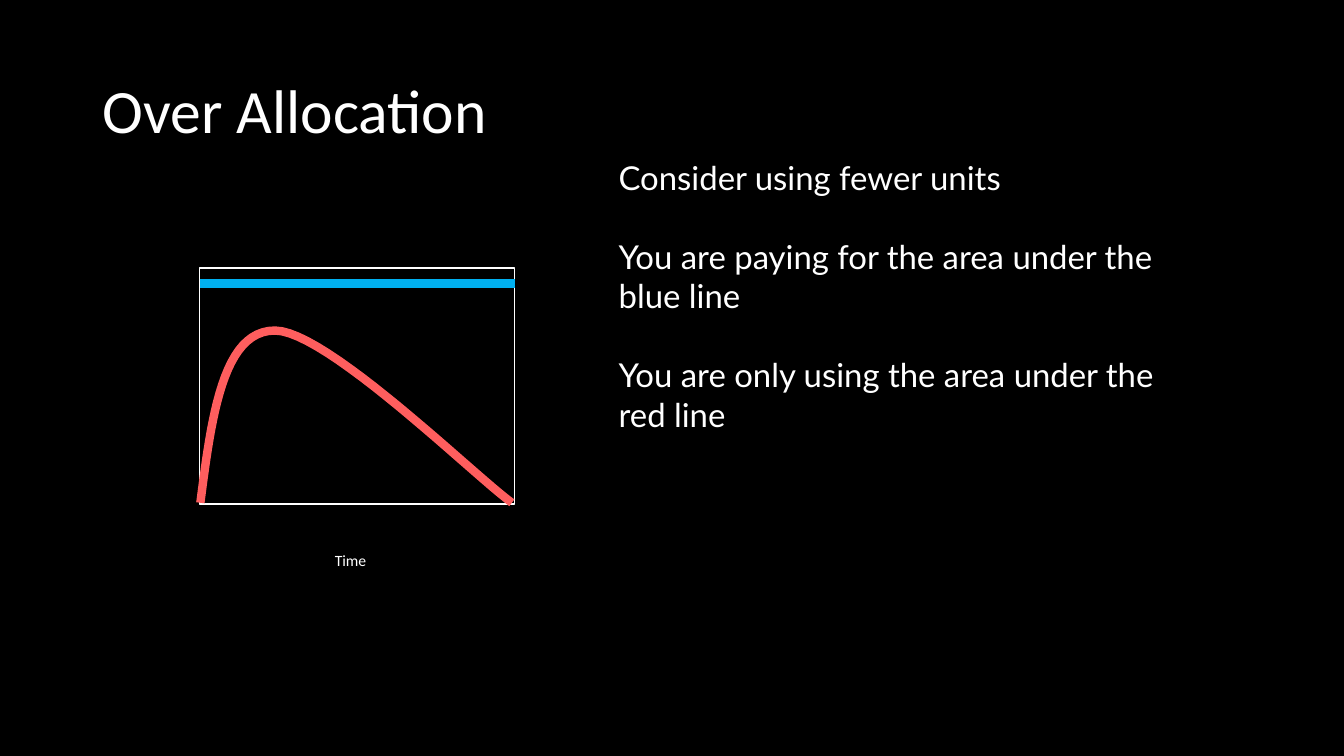
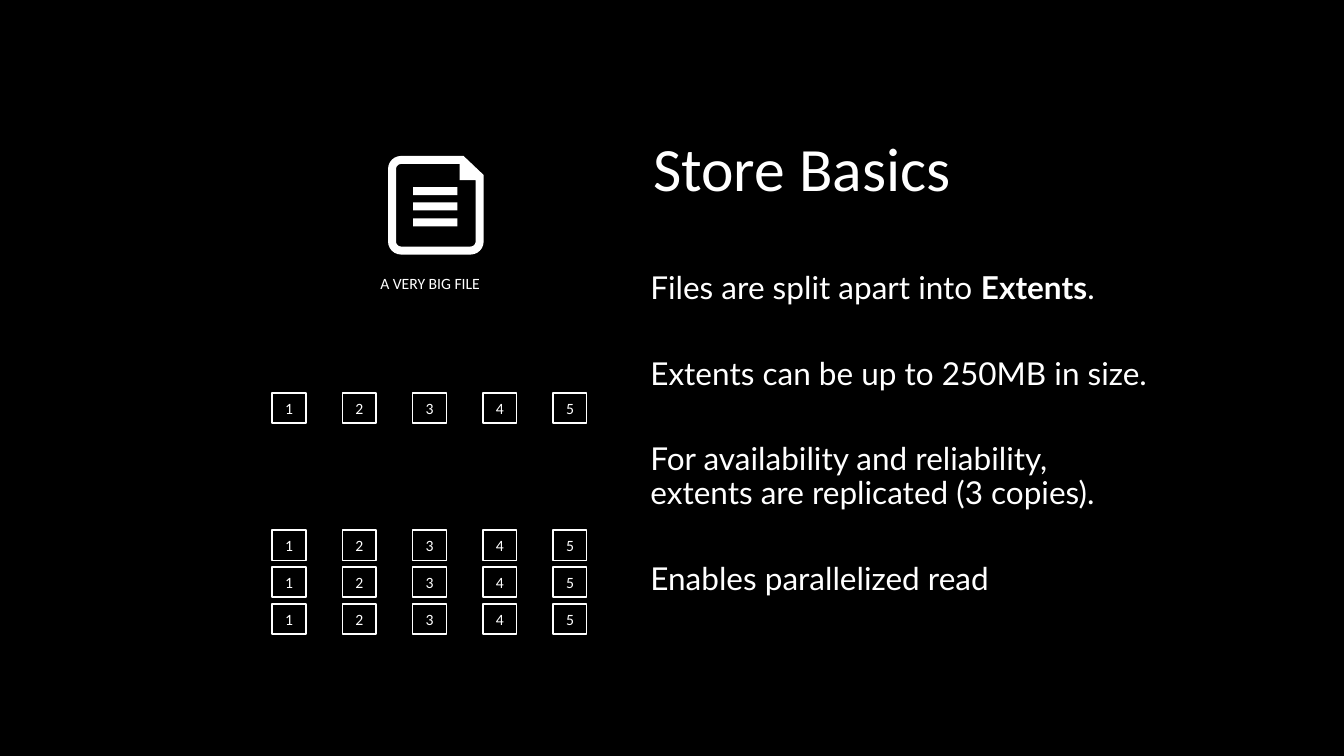
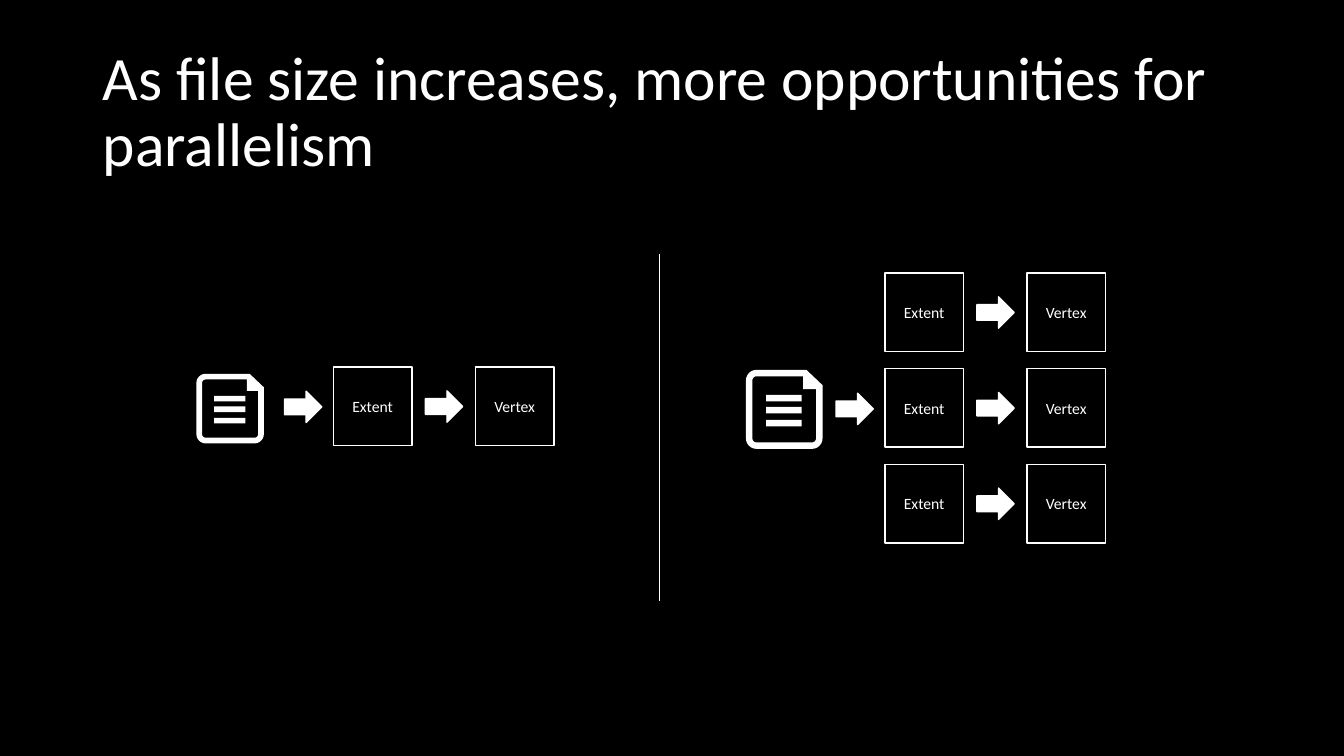
from dataclasses import dataclass
from math import cos, radians, sin

from lxml.etree import SubElement
from pptx import Presentation
from pptx.dml.color import RGBColor
from pptx.enum.shapes import MSO_CONNECTOR, MSO_SHAPE
from pptx.enum.text import MSO_ANCHOR, PP_ALIGN
from pptx.oxml.ns import qn
from pptx.shapes.autoshape import Shape
from pptx.slide import Slide
from pptx.text.text import TextFrame
from pptx.util import Cm, Pt

BLACK = RGBColor(0x00, 0x00, 0x00)
WHITE = RGBColor(0xFF, 0xFF, 0xFF)
BLUE = RGBColor(0x00, 0xB0, 0xF0)
RED = RGBColor(0xFE, 0x5E, 0x5E)

Point = tuple[float, float]


@dataclass(frozen=True)
class Area:
    left: float
    top: float
    width: float
    height: float

    def lengths(self) -> tuple[Cm, Cm, Cm, Cm]:
        return Cm(self.left), Cm(self.top), Cm(self.width), Cm(self.height)


@dataclass(frozen=True)
class Span:
    text: str
    bold: bool = False


@dataclass(frozen=True)
class TextStyle:
    font: str
    size: float
    align: PP_ALIGN = PP_ALIGN.LEFT
    anchor: MSO_ANCHOR = MSO_ANCHOR.MIDDLE
    line_spacing: float = 1.0
    gap: float = 0


TITLE = TextStyle("Calibri", 44, line_spacing=0.9)
LABEL = TextStyle("Calibri", 11.2, align=PP_ALIGN.CENTER)
ADVICE = TextStyle("Lato", 23.5, anchor=MSO_ANCHOR.TOP, gap=28.2)
FACTS = TextStyle("Lato", 22.5, anchor=MSO_ANCHOR.TOP, line_spacing=0.9, gap=36.8)

TITLE_AREA = Area(2.34, 1.02, 29.21, 3.68)

ICON_WIDTH = 95
ICON_BAR_TOPS = (31, 46, 62)

TILE_COUNT = 5
TILE_LEFT, TILE_PITCH = 6.86, 1.77
TILE_WIDTH, TILE_HEIGHT = 0.85, 0.76
REPLICA_TOP, REPLICA_PITCH = 13.36, 0.93
TILE_TOPS = (9.9, *(REPLICA_TOP + REPLICA_PITCH * row for row in range(3)))

STAGE_SIZE = 1.98
STAGE_PITCH = 3.58
PIPELINE_PITCH = 2.41


def write_text(frame: TextFrame, paragraphs: list[list[Span]], style: TextStyle) -> None:
    frame.word_wrap = True
    frame.vertical_anchor = style.anchor
    for index, spans in enumerate(paragraphs):
        para = frame.add_paragraph() if index else frame.paragraphs[0]
        para.alignment = style.align
        para.line_spacing = style.line_spacing
        para.space_after = Pt(style.gap)
        for span in spans:
            run = para.add_run()
            run.text = span.text
            run.font.name = style.font
            run.font.size = Pt(style.size)
            run.font.bold = span.bold
            run.font.color.rgb = WHITE


def add_text(page: Slide, area: Area, paragraphs: list[list[Span]], style: TextStyle) -> None:
    box = page.shapes.add_textbox(*area.lengths())
    write_text(box.text_frame, paragraphs, style)


def add_title(page: Slide, text: str, area: Area = TITLE_AREA) -> None:
    add_text(page, area, [[Span(text)]], TITLE)


def paint_white(shape: Shape) -> None:
    shape.shadow.inherit = False
    shape.fill.solid()
    shape.fill.fore_color.rgb = WHITE
    shape.line.fill.background()


def add_frame(page: Slide, area: Area, label: str = "") -> Shape:
    box = page.shapes.add_shape(MSO_SHAPE.RECTANGLE, *area.lengths())
    box.shadow.inherit = False
    box.fill.solid()
    box.fill.fore_color.rgb = BLACK
    box.line.color.rgb = WHITE
    box.line.width = Pt(1)
    if label:
        write_text(box.text_frame, [[Span(label)]], LABEL)
    return box


def add_line(page: Slide, start: Point, end: Point, color: RGBColor, width: float) -> None:
    ends = (Cm(value) for value in (*start, *end))
    line = page.shapes.add_connector(MSO_CONNECTOR.STRAIGHT, *ends)
    line.line.color.rgb = color
    line.line.width = Pt(width)
    SubElement(line._element.spPr, qn("a:effectLst"))


def add_arrow(page: Slide, left: float, top: float) -> None:
    arrow = page.shapes.add_shape(MSO_SHAPE.RIGHT_ARROW, *Area(left, top, 0.94, 0.79).lengths())
    paint_white(arrow)
    arrow.line.color.rgb = WHITE
    arrow.line.width = Pt(1)


def bezier(start: Point, first: Point, second: Point, end: Point, steps: int = 24) -> list[Point]:
    points = []
    for step in range(steps + 1):
        t = step / steps
        weights = ((1 - t) ** 3, 3 * t * (1 - t) ** 2, 3 * t * t * (1 - t), t**3)
        nodes = list(zip(weights, (start, first, second, end)))
        points.append((sum(w * p[0] for w, p in nodes), sum(w * p[1] for w, p in nodes)))
    return points


def corner(x: float, y: float, radius: float, angle: int) -> list[Point]:
    turns = [radians(angle - 15 * step) for step in range(7)]
    return [(x + radius * cos(turn), y + radius * sin(turn)) for turn in turns]


def add_file_icon(page: Slide, left: float, top: float, width: float) -> None:
    unit = width / ICON_WIDTH
    outer = [(75, 0), *corner(13, 13, 13, 270), *corner(13, 85, 13, 180),
             *corner(82, 85, 13, 90), (95, 19)]
    inner = [(71, 8), *corner(13, 13, 5, 270), *corner(13, 85, 5, 180),
             *corner(82, 85, 5, 90), (87, 24), (71, 24)]
    group = page.shapes.add_group_shape()
    for bar_top in ICON_BAR_TOPS:
        area = Area(left + 25 * unit, top + bar_top * unit, 44 * unit, 8 * unit)
        paint_white(group.shapes.add_shape(MSO_SHAPE.RECTANGLE, *area.lengths()))
    contours = [[(Cm(left + x * unit), Cm(top + y * unit)) for x, y in contour]
                for contour in (outer, inner)]
    builder = group.shapes.build_freeform(*contours[0][0])
    builder.add_line_segments(contours[0][1:], close=True)
    builder.move_to(*contours[1][0])
    builder.add_line_segments(contours[1][1:], close=True)
    paint_white(builder.convert_to_shape())


def add_pipeline(page: Slide, left: float, top: float) -> None:
    for index, label in enumerate(("Extent", "Vertex")):
        add_frame(page, Area(left + index * STAGE_PITCH, top, STAGE_SIZE, STAGE_SIZE), label)
    add_arrow(page, left + 2.32, top + 0.6)


def add_feed_arrow(page: Slide, left: float, top: float) -> None:
    add_arrow(page, left - 1.23, top + 0.61)


def build_over_allocation(page: Slide) -> None:
    add_title(page, "Over Allocation")
    add_text(page, Area(15.34, 3.84, 14.58, 7.47), [
        [Span("Consider using fewer units")],
        [Span("You are paying for the area under the blue line")],
        [Span("You are only using the area under the red line")],
    ], ADVICE)
    add_text(page, Area(5.05, 13.49, 7.57, 1.27), [[Span("Time")]], LABEL)
    add_frame(page, Area(5.03, 6.75, 7.94, 5.95))
    add_line(page, (5.03, 7.14), (12.97, 7.14), BLUE, 6)
    peak = (6.93, 8.33)
    usage = [*bezier((5.05, 12.67), (5.33, 10.52), (5.61, 8.33), peak),
             *bezier(peak, (8.23, 8.33), (11.96, 11.99), (12.9, 12.67))[1:]]
    points = [(Cm(x), Cm(y)) for x, y in usage]
    builder = page.shapes.build_freeform(*points[0])
    builder.add_line_segments(points[1:], close=False)
    curve = builder.convert_to_shape()
    curve.shadow.inherit = False
    curve.fill.background()
    curve.line.color.rgb = RED
    curve.line.width = Pt(6)


def build_store_basics(page: Slide) -> None:
    add_title(page, "Store Basics", Area(16.21, 2.77, 13.89, 3.1))
    add_file_icon(page, 9.78, 3.93, 2.41)
    add_text(page, Area(6.32, 6.76, 9.04, 0.76), [[Span("A VERY BIG FILE")]], LABEL)
    for top in TILE_TOPS:
        for column in range(TILE_COUNT):
            area = Area(TILE_LEFT + column * TILE_PITCH, top, TILE_WIDTH, TILE_HEIGHT)
            tile = add_frame(page, area, str(column + 1))
            tile.text_frame.margin_left = tile.text_frame.margin_right = Cm(0)
    add_text(page, Area(16.14, 6.74, 13.11, 9.52), [
        [Span("Files are split apart into "), Span("Extents", bold=True), Span(".")],
        [Span("Extents can be up to 250MB in size.")],
        [Span("For availability and reliability, extents are replicated (3 copies).")],
        [Span("Enables parallelized read")],
    ], FACTS)


def build_parallelism(page: Slide) -> None:
    add_title(page, "As file size increases, more opportunities for parallelism")
    add_file_icon(page, 4.95, 9.42, 1.7)
    add_feed_arrow(page, 8.4, 9.25)
    add_pipeline(page, 8.4, 9.25)
    add_line(page, (16.61, 6.4), (16.61, 15.14), WHITE, 0.5)
    add_file_icon(page, 18.8, 9.32, 1.93)
    add_feed_arrow(page, 22.3, 9.3)
    for row in range(3):
        add_pipeline(page, 22.3, 6.88 + row * PIPELINE_PITCH)


def main() -> None:
    deck = Presentation()
    deck.slide_width, deck.slide_height = Cm(33.87), Cm(19.05)
    background = deck.slide_master.background.fill
    background.solid()
    background.fore_color.rgb = BLACK
    blank = deck.slide_layouts[6]
    for build in (build_over_allocation, build_store_basics, build_parallelism):
        build(deck.slides.add_slide(blank))
    deck.save("out.pptx")


if __name__ == "__main__":
    main()
